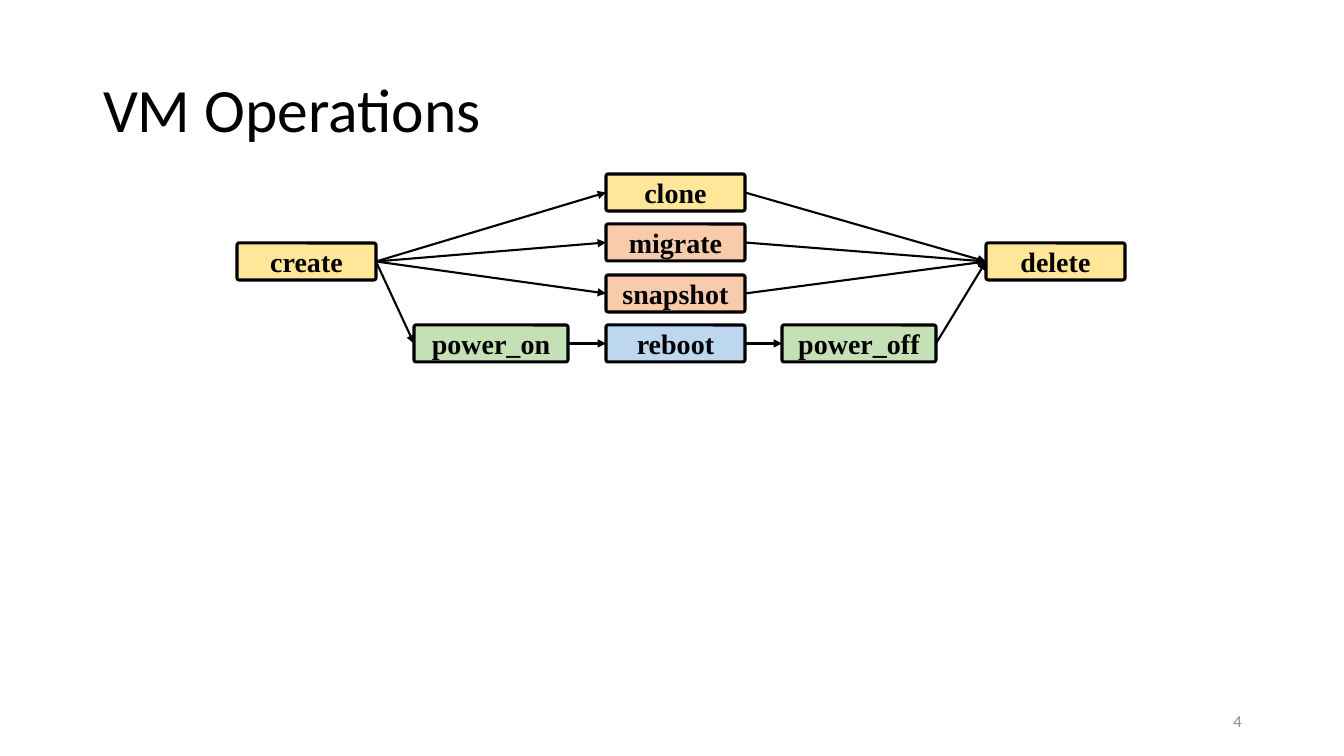
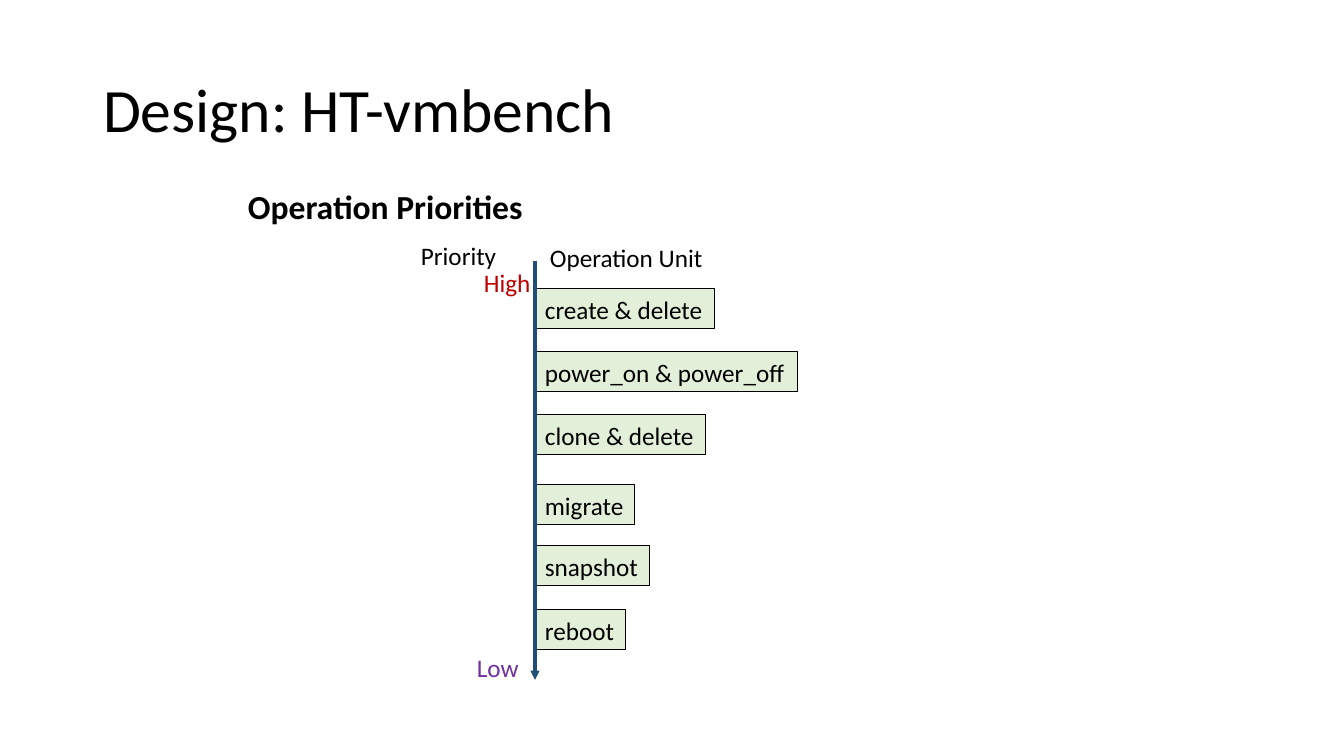
"""Build two slides: a flow of VM operations and their order of priority."""
from lxml import etree
from pptx import Presentation
from pptx.dml.color import RGBColor
from pptx.enum.shapes import MSO_CONNECTOR, MSO_SHAPE
from pptx.enum.text import MSO_ANCHOR, MSO_AUTO_SIZE, PP_ALIGN
from pptx.oxml.ns import qn
from pptx.util import Pt

LEFT, CENTER, RIGHT = PP_ALIGN.LEFT, PP_ALIGN.CENTER, PP_ALIGN.RIGHT
TOP, MIDDLE = MSO_ANCHOR.TOP, MSO_ANCHOR.MIDDLE
FIT = MSO_AUTO_SIZE.SHAPE_TO_FIT_TEXT
ROUND, RECT = MSO_SHAPE.ROUNDED_RECTANGLE, MSO_SHAPE.RECTANGLE
STRAIGHT = MSO_CONNECTOR.STRAIGHT
LEFT_SITE, RIGHT_SITE = 1, 3
SANS, SERIF = "Calibri", "Times New Roman"
COLORS = {
    "black": "000000", "gray": "8C8C8C", "yellow": "FFE699",
    "green": "C5E0B4", "blue": "BDD7EE", "orange": "F8CBAD",
    "pale": "E2F0D9", "red": "C00000", "purple": "7030A0", "navy": "1F4E79",
}
RGB = {name: RGBColor.from_string(code) for name, code in COLORS.items()}
PX = 914400 / 100.8


def write(shape, text, size, color="black", font=SANS, bold=False,
          align=LEFT, anchor=TOP, spacing=None, fit=False):
    """Put one formatted paragraph into a shape."""
    frame = shape.text_frame
    frame.word_wrap = not fit
    frame.auto_size = FIT if fit else MSO_AUTO_SIZE.NONE
    frame.vertical_anchor = anchor
    para = frame.paragraphs[0]
    para.text = text
    para.alignment = align
    para.line_spacing = spacing
    para.font.name = font
    para.font.size = Pt(size)
    para.font.bold = bold
    para.font.color.rgb = RGB[color]


def arrow(slide, ends, color="black", width=1.5):
    """Draw a straight arrow between two points in pixels."""
    line = slide.shapes.add_connector(STRAIGHT, *[round(v * PX) for v in ends])
    line.line.color.rgb = RGB[color]
    line.line.width = Pt(width)
    props = line.element.spPr
    etree.SubElement(props.find(qn("a:ln")), qn("a:tailEnd"), type="triangle")
    etree.SubElement(props, qn("a:effectLst"))
    return line


deck = Presentation()
deck.slide_width, deck.slide_height = round(1344 * PX), round(756 * PX)

slides = []
for heading in ("VM Operations", "Design: HT-vmbench"):
    slide = deck.slides.add_slide(deck.slide_layouts[5])
    title = slide.shapes.title
    title.left, title.top, title.width, title.height = [
        round(v * PX) for v in (93, 40, 1159, 146)]
    write(title, heading, 44, anchor=MIDDLE, spacing=0.9)
    slides.append(slide)
flow, design = slides

number = flow.shapes.add_textbox(*[round(v * PX) for v in (950, 701, 302, 40)])
write(number, "4", 12, "gray", align=RIGHT, anchor=MIDDLE)

rows = [174 + 101 * row // 2 for row in range(4)]
middle = 243
boxes = {}
for name, left, top, width, color in (
    ("create", 237, middle, 139, "yellow"),
    ("clone", 606, rows[0], 139, "yellow"),
    ("migrate", 606, rows[1], 139, "orange"),
    ("snapshot", 606, rows[2], 139, "orange"),
    ("power_on", 414, rows[3], 154, "green"),
    ("reboot", 606, rows[3], 139, "blue"),
    ("power_off", 782, rows[3], 154, "green"),
    ("delete", 986, middle, 139, "yellow"),
):
    box = flow.shapes.add_shape(
        ROUND, *[round(v * PX) for v in (left, top, width, 37)])
    box.adjustments[0] = 0.06
    box.shadow.inherit = False
    box.fill.solid()
    box.fill.fore_color.rgb = RGB[color]
    box.line.color.rgb = RGB["black"]
    box.line.width = Pt(2.25)
    write(box, name, 20, font=SERIF, bold=True, align=CENTER, anchor=MIDDLE)
    boxes[name] = box

for chain in (
    ("create", "clone", "delete"),
    ("create", "migrate", "delete"),
    ("create", "snapshot", "delete"),
    ("create", "power_on", "reboot", "power_off", "delete"),
):
    for start, end in zip(chain, chain[1:]):
        link = arrow(flow, (0, 0, 0, 0))
        link.begin_connect(boxes[start], RIGHT_SITE)
        link.end_connect(boxes[end], LEFT_SITE)

topic = design.shapes.add_textbox(*[round(v * PX) for v in (238, 185, 426, 91)])
write(topic, "Operation Priorities", 24, bold=True, spacing=0.9)

axis = 535
for name, top, width in (
    ("create & delete", 289, 180),
    ("power_on & power_off", 352, 263),
    ("clone & delete", 415, 171),
    ("migrate", 485, 100),
    ("snapshot", 546, 115),
    ("reboot", 610, 91),
):
    unit = design.shapes.add_shape(
        RECT, *[round(v * PX) for v in (axis, top, width, 40)])
    unit.shadow.inherit = False
    unit.fill.solid()
    unit.fill.fore_color.rgb = RGB["pale"]
    unit.line.color.rgb = RGB["black"]
    unit.line.width = Pt(0.75)
    write(unit, name, 18, fit=True)

for text, left, top, width, color in (
    ("Priority", 411, 235, 96, "black"),
    ("Operation Unit", 540, 237, 174, "black"),
    ("High", 474, 262, 68, "red"),
    ("Low", 467, 647, 62, "purple"),
):
    label = design.shapes.add_textbox(
        *[round(v * PX) for v in (left, top, width, 40)])
    write(label, text, 18, color, fit=True)

arrow(design, (axis, 261, axis, 680), "navy", 2.25)

deck.save("out.pptx")
